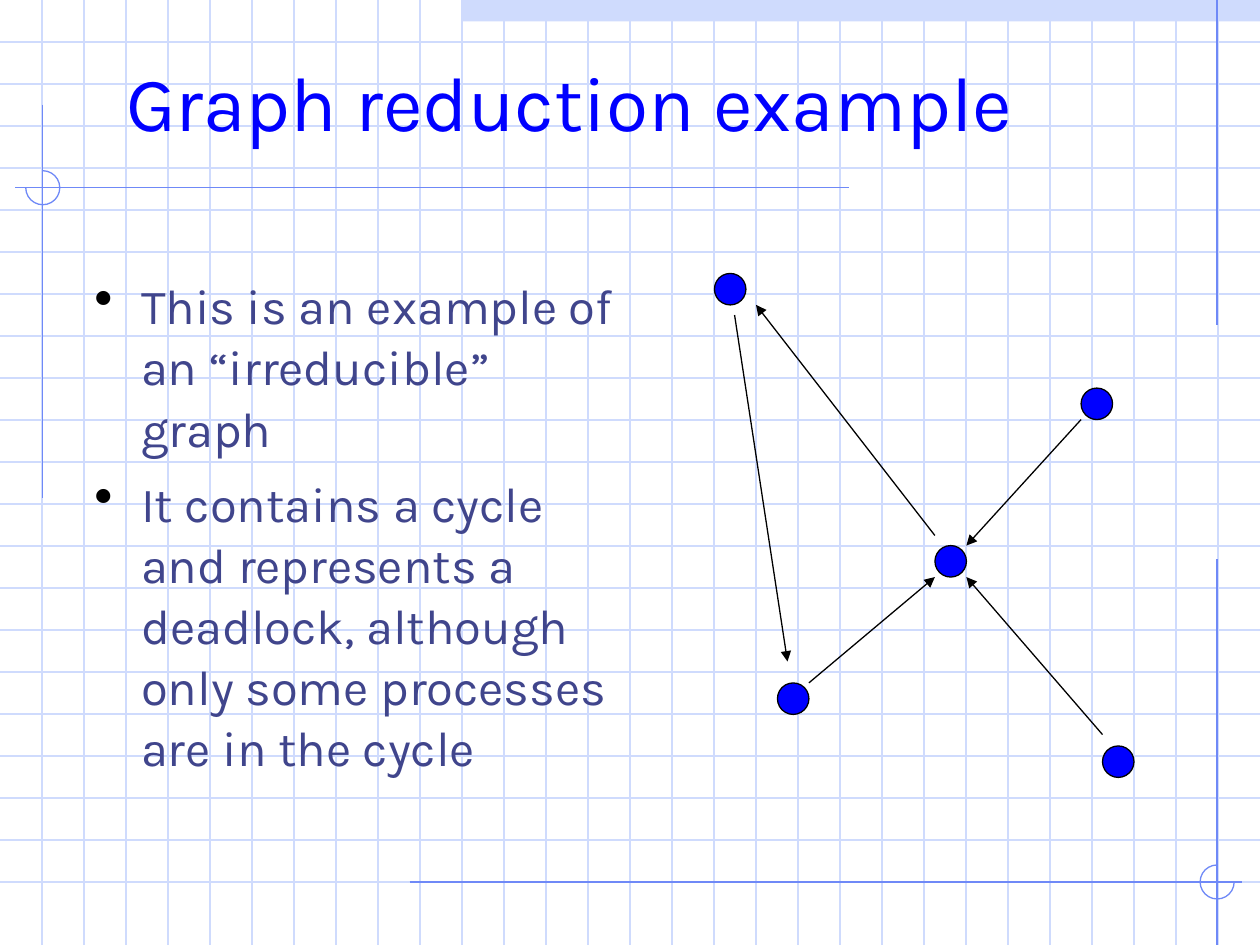
from lxml import etree
from pptx import Presentation
from pptx.dml.color import RGBColor
from pptx.enum.shapes import MSO_CONNECTOR as Connector, MSO_SHAPE as Shape
from pptx.enum.text import MSO_ANCHOR as Anchor, MSO_AUTO_SIZE as AutoSize, PP_ALIGN as Align
from pptx.oxml.ns import qn
from pptx.util import Inches, Pt

WIDTH, HEIGHT = 10, 7.5
GRID_STEP = 1 / 3
PALE, RULE, BLUE, BLACK, INK = "CFDBFD", "6F89F7", "0000FF", "000000", "40458C"
NODE_SIZE = 0.25

BULLETS = [
    "This is an example of an “irreducible” graph",
    "It contains a cycle and represents a deadlock, although only some processes are in the cycle",
]
# Left and top of each node, relative to the graph's box
NODES = [(0, 0), (2.91, 0.91), (1.75, 2.16), (0.5, 3.25), (3.08, 3.75)]
# Start and end of each arrow, relative to the graph's box
ARROWS = [
    ((0.75, 3.25), (1.75, 2.41)),
    ((2.91, 1.16), (2, 2.16)),
    ((3.08, 3.66), (2, 2.41)),
    ((0.16, 0.33), (0.58, 3.08)),
    ((1.75, 2.08), (0.33, 0.25)),
]


def rgb(color):
    return RGBColor.from_string(color)


def set_format(target, values):
    for name, value in values.items():
        setattr(target, name, value)


def add_line(slide, start, end, color, arrow=False):
    line = slide.shapes.add_connector(
        Connector.STRAIGHT, *(Inches(v) for v in (*start, *end)))
    line.line.color.rgb = rgb(color)
    line.line.width = Pt(0.75)
    properties = line._element.spPr
    if arrow:
        etree.SubElement(properties.find(qn("a:ln")), qn("a:tailEnd"), type="triangle")
    etree.SubElement(properties, qn("a:effectLst"))


def add_preset(slide, kind, box, fill=None, outline=None):
    shape = slide.shapes.add_shape(kind, *(Inches(v) for v in box))
    shape.shadow.inherit = False
    if fill:
        shape.fill.solid()
        shape.fill.fore_color.rgb = rgb(fill)
    else:
        shape.fill.background()
    if outline:
        shape.line.color.rgb = rgb(outline)
        shape.line.width = Pt(0.75)
    else:
        shape.line.fill.background()
    return shape


def add_grid(slide, left, top, width, height):
    # Band along the top edge
    add_preset(slide, Shape.RECTANGLE, (left + 3.66, top, width - 3.66, 0.17), PALE)
    # Graph-paper lines
    for row in range(1, round(height / GRID_STEP)):
        y = top + row * GRID_STEP
        add_line(slide, (left, y), (left + width, y), PALE)
    for column in range(1, round(width / GRID_STEP)):
        x = left + column * GRID_STEP
        add_line(slide, (x, top), (x, top + height), PALE)


def add_corner_mark(slide, center, horizontal, vertical, arc_degrees):
    x, y, size = *center, 0.27
    add_line(slide, (horizontal[0], y), (horizontal[1], y), RULE)
    add_line(slide, (x, vertical[0]), (x, vertical[1]), RULE)
    arc = add_preset(slide, Shape.ARC, (x - size / 2, y - size / 2, size, size), outline=RULE)
    for index, degrees in enumerate(arc_degrees):
        arc.adjustments[index] = degrees * 0.6  # 60000ths of a degree over 100000


def format_frame(frame, anchor):
    set_format(frame, dict(
        word_wrap=True, auto_size=AutoSize.NONE, vertical_anchor=anchor,
        margin_left=0, margin_top=0, margin_right=0, margin_bottom=0))


def format_paragraph(paragraph, size, color, space_before):
    set_format(paragraph, dict(
        alignment=Align.LEFT, line_spacing=1.04, space_before=Pt(space_before)))
    set_format(paragraph.font, dict(name="Karla", size=Pt(size)))
    paragraph.font.color.rgb = rgb(color)


def place_title(slide, left, top, width, height):
    title = slide.shapes.title
    set_format(title, dict(left=Inches(left), top=Inches(top),
                           width=Inches(width), height=Inches(height)))
    title.text_frame.text = "Graph reduction example"
    format_frame(title.text_frame, Anchor.MIDDLE)
    format_paragraph(title.text_frame.paragraphs[0], 44, BLUE, 0)
    # Bring the title in front of the grid
    slide.shapes._spTree.append(title._element)


def add_bullets(slide, *box):
    frame = slide.shapes.add_textbox(*(Inches(v) for v in box)).text_frame
    format_frame(frame, Anchor.TOP)
    frame.text = "\n".join(BULLETS)
    for paragraph in frame.paragraphs:
        format_paragraph(paragraph, 28, INK, 8)
        properties = paragraph._p.get_or_add_pPr()
        properties.set("marL", str(Inches(0.37)))
        properties.set("indent", str(Inches(-0.37)))
        # Bullet elements precede the default run properties
        bullet_color = etree.Element(qn("a:buClr"))
        etree.SubElement(bullet_color, qn("a:srgbClr"), val=BLACK)
        bullet_size = etree.Element(qn("a:buSzPct"), val="110000")
        bullet = etree.Element(qn("a:buChar"), char="•")
        run_defaults = properties.find(qn("a:defRPr"))
        for element in (bullet_color, bullet_size, bullet):
            run_defaults.addprevious(element)
        # Apply the font to the text itself
        run_font = paragraph.runs[0].font
        set_format(run_font, dict(name="Karla", size=Pt(28)))
        run_font.color.rgb = rgb(INK)


def add_graph(slide, left, top):
    for x, y in NODES:
        add_preset(slide, Shape.OVAL, (left + x, top + y, NODE_SIZE, NODE_SIZE), BLUE, BLACK)
    for start, end in ARROWS:
        add_line(slide, *((left + x, top + y) for x, y in (start, end)), BLACK, arrow=True)


def main():
    deck = Presentation()
    set_format(deck, dict(slide_width=Inches(WIDTH), slide_height=Inches(HEIGHT)))
    slide = deck.slides.add_slide(deck.slide_layouts[5])
    slide.background.fill.solid()
    slide.background.fill.fore_color.rgb = rgb("FFFFFF")

    add_grid(slide, 0, 0, WIDTH, HEIGHT)
    add_line(slide, (9.66, 0), (9.66, 2.58), RULE)
    add_corner_mark(slide, (0.34, 1.49), (0.12, 6.74), (0.83, 3.95), (270, 180))
    add_corner_mark(slide, (9.66, 7), (3.25, 9.86), (4.44, HEIGHT), (0, 270))
    place_title(slide, 1, 0, 8.5, 1.57)
    add_bullets(slide, 0.75, 2.17, 4.17, 4.5)
    add_graph(slide, 5.67, 2.17)
    deck.save("out.pptx")


if __name__ == "__main__":
    main()
